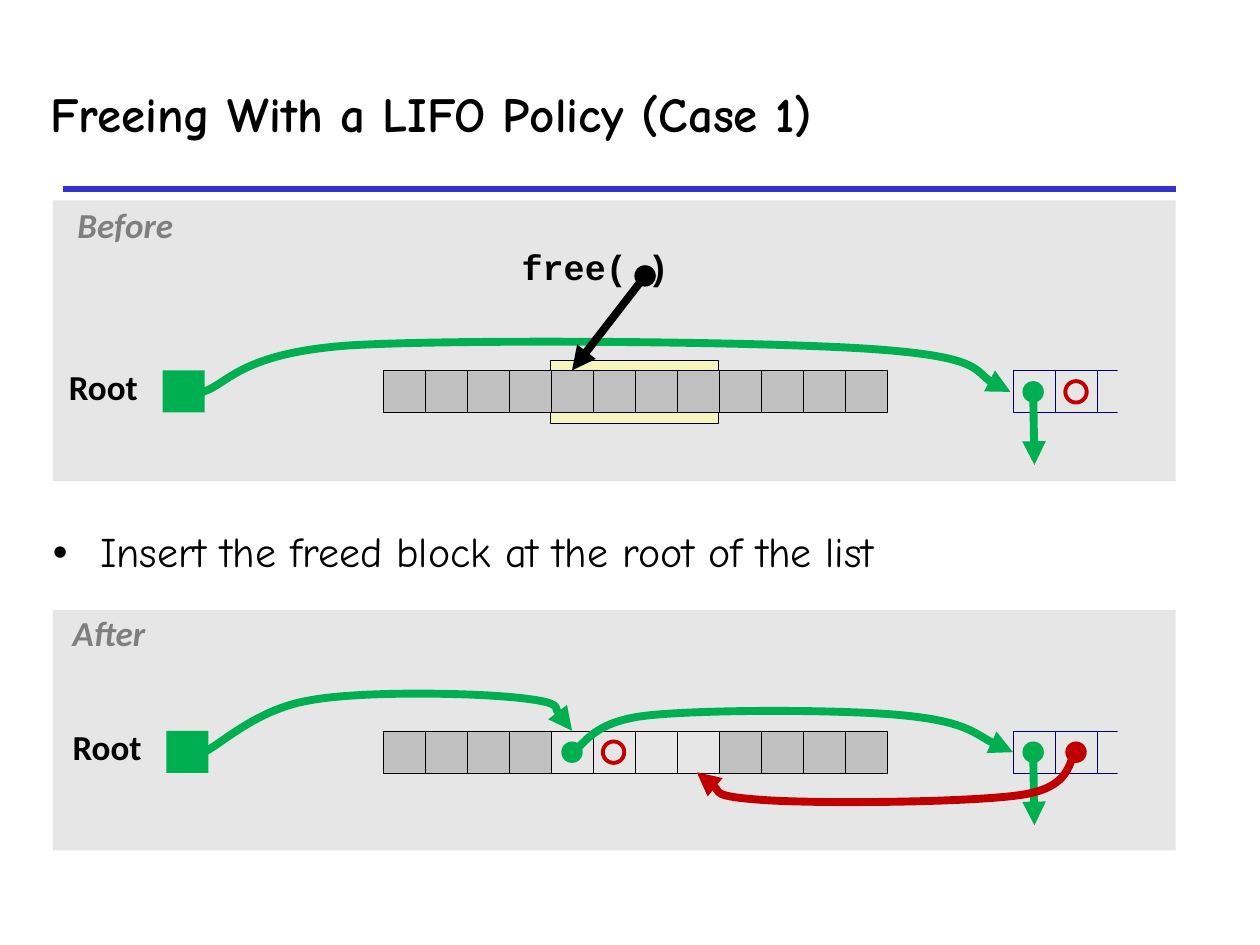
from pptx import Presentation
from pptx.dml.color import RGBColor
from pptx.enum.shapes import MSO_CONNECTOR as Link, MSO_SHAPE as Kind
from pptx.enum.text import MSO_ANCHOR as Anchor, MSO_AUTO_SIZE as Fit, PP_ALIGN as Align
from pptx.oxml.ns import qn
from pptx.oxml.xmlchemy import OxmlElement as Node
from pptx.util import Inches, Pt

GREEN, RED, BLACK = "00B050", "C00000", "000000"
PALE, GRAY, DIM = "E6E6E6", "C0C0C0", "7F7F7F"
CELL, DOT = 1 / 3, 0.17
FREED = range(4, 8)
BEFORE = (0.42, 1.59, 8.91, 2.23)
AFTER = (0.42, 4.84, 8.91, 1.91)


def color(code):
    """Turn a hex string into a colour."""
    return RGBColor.from_string(code)


def assign(item, **values):
    """Set each named attribute of an item."""
    for name, value in values.items():
        setattr(item, name, value)


def stroke(item, code, width):
    """Give an item a line, or none when there is no colour."""
    if code is None:
        item.line.fill.background()
        return
    item.line.color.rgb = color(code)
    item.line.width = Pt(width)


def tip(item):
    """Add a triangle arrowhead at the end of a line."""
    head = Node("a:tailEnd")
    head.set("type", "triangle")
    next(item._element.iter(qn("a:ln"))).append(head)


def shape(shapes, org, box, fill=None, line=None, width=0.25, kind=Kind.RECTANGLE):
    """Place a preset shape at a box relative to an origin."""
    x, y, w, h = box
    item = shapes.add_shape(kind, Inches(org[0] + x), Inches(org[1] + y), Inches(w), Inches(h))
    item.shadow.inherit = False
    if fill:
        item.fill.solid()
        item.fill.fore_color.rgb = color(fill)
    else:
        item.fill.background()
    stroke(item, line, width)


def dot(shapes, org, mid, fill=None, line=None):
    """Place a small circle around a middle point."""
    box = (mid[0] - DOT / 2, mid[1] - DOT / 2, DOT, DOT)
    shape(shapes, org, box, fill, line, 2.25, Kind.OVAL)


def straight(shapes, org, start, end, code, width=4.5, arrow=True):
    """Draw a straight line, with an arrowhead if asked."""
    ends = [Inches(o + v) for point in (start, end) for o, v in zip(org, point)]
    item = shapes.add_connector(Link.STRAIGHT, *ends)
    stroke(item, code, width)
    if arrow:
        tip(item)
    item._element.spPr.append(Node("a:effectLst"))


def curve(shapes, org, points, code):
    """Draw an arrow of cubic curves through a list of control points."""
    first, *rest = [(Inches(org[0] + x), Inches(org[1] + y)) for x, y in points]
    pen = shapes.build_freeform(*first)
    pen.add_line_segments(rest, close=False)
    item = pen.convert_to_shape()
    item.shadow.inherit = False
    item.fill.background()
    stroke(item, code, 4.5)
    tip(item)
    steps = list(item._element.iter(qn("a:lnTo")))
    for i in range(0, len(steps), 3):
        bend = Node("a:cubicBezTo")
        steps[i].addprevious(bend)
        for step in steps[i:i + 3]:
            bend.append(step[0])
            step.getparent().remove(step)


def write(frame, text, code, gap, align, **font):
    """Fill a text frame with one formatted paragraph."""
    para = frame.paragraphs[0]
    para.text = text
    assign(para, line_spacing=gap, space_before=Pt(0), alignment=align)
    assign(para.runs[0].font, **font)
    para.runs[0].font.color.rgb = color(code)


def label(shapes, org, box, text, code=BLACK, name="Calibri", italic=False):
    """Place a bold one-line label."""
    x, y, w, h = box
    frame = shapes.add_textbox(Inches(org[0] + x), Inches(org[1] + y), Inches(w), Inches(h)).text_frame
    assign(frame, word_wrap=False, auto_size=Fit.SHAPE_TO_FIT_TEXT)
    write(frame, text, code, 0.9, Align.CENTER, size=Pt(20), name=name, bold=True, italic=italic)


def root(shapes, org, left):
    """Place the root label and its square."""
    label(shapes, org, (left - 0.85, -0.05, 0.76, 0.47), "Root")
    shape(shapes, org, (left, 0, CELL, CELL), GREEN)


def heap(shapes, org, free=()):
    """Place the row of twelve cells, with the free ones left clear."""
    for i in range(12):
        fill = None if i in free else GRAY
        shape(shapes, org, (2.62 + i * CELL, 0, CELL, CELL), fill, BLACK)


def chain(shapes, org):
    """Place the cut-off block that was first in the list."""
    group = shapes.add_group_shape().shapes
    for i in range(3):
        shape(group, org, (7.62 + i * CELL, 0, CELL, CELL), None, "000066")
    shape(group, org, (8.45, -0.08, CELL, 0.5), PALE)
    dot(shapes, org, (7.78, 0.17), GREEN)
    straight(shapes, org, (7.78, 0.17), (7.79, 0.75), GREEN)


def before(shapes, box):
    """Draw the list before the block is freed."""
    x, y, w, h = box
    org = (x, y + 1.35)
    shape(shapes, (0, 0), box, PALE)
    shape(shapes, org, (3.95, -0.08, 4 * CELL, 0.5), "F6F5BD", BLACK, 0.75)
    curve(shapes, org, [
        (1.19, 0.17), (1.39, 0.11), (1.48, -0.14), (2.37, -0.2), (3.25, -0.25),
        (5.63, -0.23), (6.5, -0.17), (7.37, -0.11), (7.37, 0.1), (7.6, 0.17)], GREEN)
    heap(shapes, org)
    root(shapes, org, 0.87)
    chain(shapes, org)
    dot(shapes, org, (8.12, 0.17), None, RED)
    label(shapes, org, (3.55, -1, 1.51, 0.47), "free( )", name="Courier New")
    dot(shapes, org, (4.7, -0.75), BLACK)
    straight(shapes, org, (4.7, -0.75), (4.12, 0), BLACK)
    label(shapes, box[:2], (0.06, 0.01, 1.03, 0.47), "Before", DIM, italic=True)


def after(shapes, box):
    """Draw the list after the block is freed."""
    x, y, w, h = box
    org = (x, y + 0.96)
    shape(shapes, (0, 0), box, PALE)
    heap(shapes, org, FREED)
    dot(shapes, org, (4.12, 0.17), GREEN)
    dot(shapes, org, (4.45, 0.17), None, RED)
    root(shapes, org, 0.9)
    chain(shapes, org)
    dot(shapes, org, (8.12, 0.17), RED)
    curve(shapes, org, [
        (4.12, 0.17), (4.22, 0.12), (4.27, -0.07), (4.71, -0.12), (5.15, -0.17),
        (6.29, -0.17), (6.77, -0.12), (7.25, -0.07), (7.44, 0.11), (7.62, 0.17)], GREEN)
    curve(shapes, org, [
        (8.12, 0.18), (8.05, 0.23), (8.1, 0.45), (7.68, 0.51), (7.27, 0.57),
        (6.07, 0.58), (5.64, 0.55), (5.21, 0.52), (5.22, 0.38), (5.11, 0.33)], RED)
    curve(shapes, org, [
        (1.2, 0.17), (1.34, 0.1), (1.62, -0.17), (2.03, -0.24), (2.45, -0.32),
        (3.36, -0.3), (3.71, -0.26), (4.06, -0.22), (4.04, -0.06), (4.12, 0)], GREEN)
    label(shapes, box[:2], (0.04, 0, 0.81, 0.47), "After", DIM, italic=True)


def holder(item, box, text, gap, anchor, **font):
    """Move a placeholder to a box and fill it."""
    for name, value in zip(("left", "top", "width", "height"), box):
        setattr(item, name, Inches(value))
    assign(item.text_frame, auto_size=Fit.NONE, vertical_anchor=anchor, word_wrap=True)
    write(item.text_frame, text, BLACK, gap, Align.LEFT, name="Comic Neue", **font)


def main():
    """Build the slide and save it."""
    deck = Presentation()
    assign(deck, slide_width=Inches(10), slide_height=Inches(7.5))
    slide = deck.slides.add_slide(deck.slide_layouts[1])
    shapes = slide.shapes
    holder(shapes.title, (0.3, 0.5, 9.53, 0.86), "Freeing With a LIFO Policy (Case 1)",
           0.87, Anchor.MIDDLE, size=Pt(28), bold=True)
    holder(slide.placeholders[1], (0.32, 4.15, 9.09, 0.61),
           "Insert the freed block at the root of the list", 0.95, Anchor.TOP, size=Pt(24))
    straight(shapes, (0, 0), (0.5, 1.5), (9.33, 1.5), "3333CC", 3, False)
    before(shapes, BEFORE)
    after(shapes, AFTER)
    deck.save("out.pptx")


if __name__ == "__main__":
    main()
